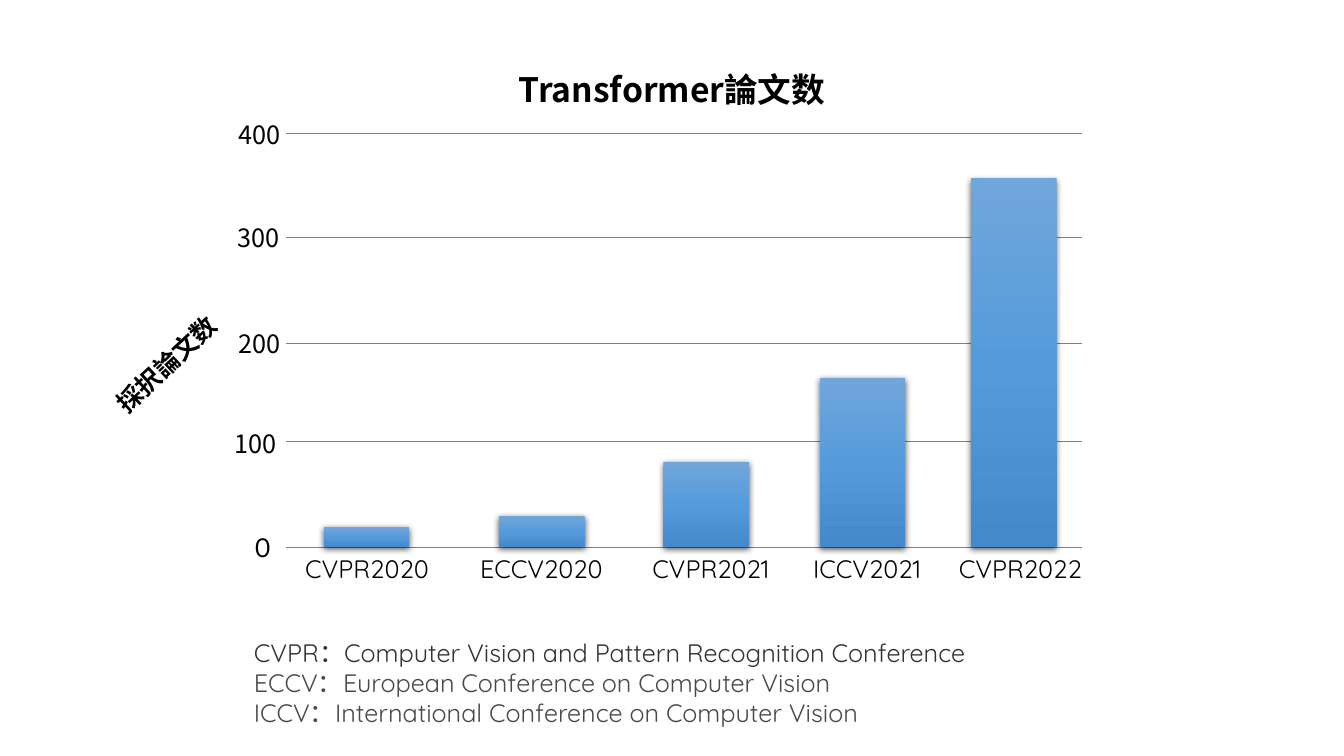
from copy import deepcopy
from typing import NamedTuple

from lxml.etree import SubElement
from pptx import Presentation
from pptx.dml.color import RGBColor
from pptx.enum.shapes import MSO_CONNECTOR, MSO_SHAPE
from pptx.enum.text import MSO_AUTO_SIZE, PP_ALIGN
from pptx.oxml.ns import qn
from pptx.slide import Slide
from pptx.util import Pt

PX = 9144
JP = "Noto Sans CJK JP"
LATIN = "Quicksand"
BLACK = "000000"
AXIS_LEFT, AXIS_RIGHT, BASELINE = 284, 1073, 543
BAR_WIDTH = 85
BAR_STOPS = ((0, "71A6DB"), (0.5, "559BDB"), (1, "448ACA"))


class Tick(NamedTuple):
    text: str
    line_y: int
    x: int
    y: int
    w: int


class Bar(NamedTuple):
    name: str
    x: int
    h: int
    label_x: int


class Line(NamedTuple):
    text: str
    color: str = BLACK


TICKS = (
    Tick("０", 543, 226, 523, 70),
    Tick("100", 438, 211, 420, 85),
    Tick("200", 341, 222, 321, 70),
    Tick("300", 235, 221, 216, 70),
    Tick("400", 132, 222, 113, 70),
)
BARS = (
    Bar("CVPR2020", 321, 20, 268),
    Bar("ECCV2020", 495, 31, 441),
    Bar("CVPR2021", 658, 85, 609),
    Bar("ICCV2021", 813, 168, 764),
    Bar("CVPR2022", 963, 366, 916),
)
CONFERENCES = (
    Line("CVPR：Computer Vision and Pattern Recognition Conference", "333333"),
    Line("ECCV：European Conference on Computer Vision", "494949"),
    Line("ICCV：International Conference on Computer Vision", "494949"),
)


def rgb(color: str) -> RGBColor:
    """Turn a hex string into a colour."""
    return RGBColor.from_string(color)


def add_text(s: Slide, x: int, y: int, w: int, h: int, lines: tuple[Line, ...],
             font: str, size: int = 18, bold: bool = False,
             align: PP_ALIGN = PP_ALIGN.CENTER, rotation: float = 0) -> None:
    """Add a wrapping text box with one paragraph per line."""
    sp = s.shapes.add_textbox(x * PX, y * PX, w * PX, h * PX)
    sp.rotation = rotation
    tf = sp.text_frame
    tf.word_wrap = True
    tf.auto_size = MSO_AUTO_SIZE.SHAPE_TO_FIT_TEXT
    for i, line in enumerate(lines):
        p = tf.paragraphs[0] if i == 0 else tf.add_paragraph()
        p.text = line.text
        p.alignment = align
        p.font.size = Pt(size)
        p.font.bold = bold
        p.font.name = font
        p.font.color.rgb = rgb(line.color)
        SubElement(p._p.pPr.find(qn("a:defRPr")), qn("a:ea"), typeface=font)


def add_gridline(s: Slide, y: int) -> None:
    """Add a thin grey line across the plot."""
    sp = s.shapes.add_connector(MSO_CONNECTOR.STRAIGHT, AXIS_LEFT * PX, y * PX,
                                AXIS_RIGHT * PX, y * PX)
    sp.line.color.rgb = rgb("808080")
    sp.line.width = Pt(0.5)
    SubElement(sp._element.spPr, qn("a:effectLst"))


def add_bar(s: Slide, bar: Bar) -> None:
    """Add a gradient bar with a soft shadow, standing on the baseline."""
    sp = s.shapes.add_shape(MSO_SHAPE.RECTANGLE, bar.x * PX,
                            (BASELINE - bar.h) * PX, BAR_WIDTH * PX, bar.h * PX)
    sp.line.fill.background()
    sp.fill.gradient()
    sp.fill.gradient_angle = 270
    stops = sp._element.spPr.find(f".//{qn('a:gsLst')}")
    stops.append(deepcopy(stops[0]))
    for stop, (position, color) in zip(sp.fill.gradient_stops, BAR_STOPS):
        stop.position = position
        stop.color.rgb = rgb(color)
    sp.shadow.inherit = False
    effects = sp._element.spPr.find(qn("a:effectLst"))
    shadow = SubElement(effects, qn("a:outerShdw"), blurRad=str(Pt(4.5)),
                        dist=str(Pt(1.5)), dir="5400000", rotWithShape="0")
    color = SubElement(shadow, qn("a:srgbClr"), val=BLACK)
    SubElement(color, qn("a:alpha"), val="63000")


def main() -> None:
    """Build the slide and save it."""
    prs = Presentation()
    prs.slide_width, prs.slide_height = 1333 * PX, 750 * PX
    s = prs.slides.add_slide(prs.slide_layouts[6])
    for tick in TICKS:
        add_gridline(s, tick.line_y)
        add_text(s, tick.x, tick.y, tick.w, 40, (Line(tick.text),), JP)
    for bar in BARS:
        add_bar(s, bar)
        add_text(s, bar.label_x, 544, 192, 40, (Line(bar.name),), LATIN)
    add_text(s, 69, 341, 192, 40, (Line("採択論文数"),), JP, bold=True, rotation=316.9)
    add_text(s, 477, 63, 379, 50, (Line("Transformer論文数"),), JP, 24, bold=True)
    add_text(s, 242, 627, 866, 101, CONFERENCES, LATIN, align=PP_ALIGN.LEFT)
    prs.save("out.pptx")


if __name__ == "__main__":
    main()
